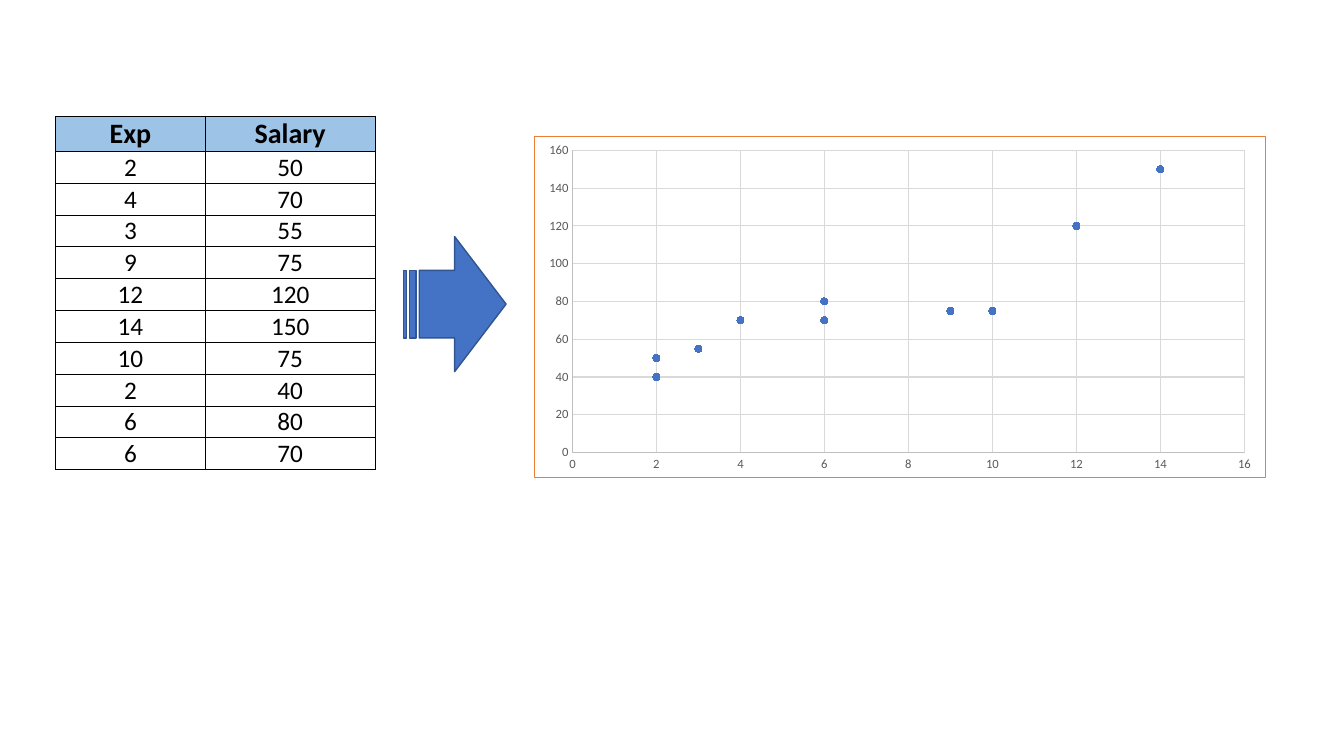
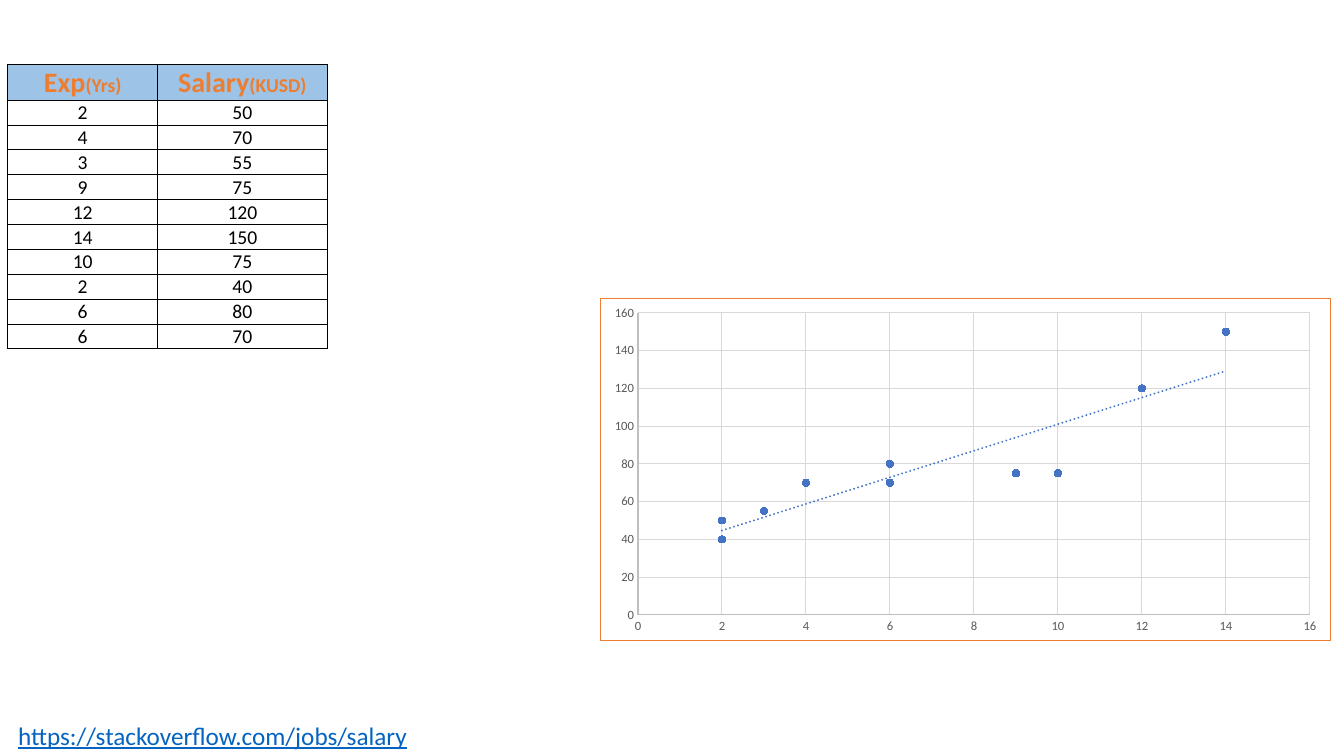
import pptx
import pptx.chart.data
import pptx.dml.color
import pptx.enum.chart
import pptx.enum.shapes
import pptx.enum.text
import pptx.oxml
import pptx.oxml.ns
import pptx.util

Pt = pptx.util.Pt
RGBColor = pptx.dml.color.RGBColor

BLACK = RGBColor(0x00, 0x00, 0x00)
ORANGE = RGBColor(0xED, 0x7D, 0x31)
BLUE = RGBColor(0x44, 0x72, 0xC4)
DARK_BLUE = RGBColor(0x32, 0x54, 0x91)
HEADER_BLUE = RGBColor(0x9D, 0xC3, 0xE6)
LINK_BLUE = RGBColor(0x05, 0x63, 0xC1)
AXIS_TEXT = RGBColor(0x59, 0x59, 0x59)
AXIS_LINE = RGBColor(0xBF, 0xBF, 0xBF)
GRID_LINE = RGBColor(0xD9, 0xD9, 0xD9)

FONT = "Calibri"
SALARIES = [(2, 50), (4, 70), (3, 55), (9, 75), (12, 120),
            (14, 150), (10, 75), (2, 40), (6, 80), (6, 70)]
COLUMN_WIDTHS = (107.2, 121)
HEADER_HEIGHT = 25
HEADER_SIZE = 20
CHART_SIZE = (522.7, 244.8)

CELL_FORMAT = {
    "margin_left": Pt(0.7),
    "margin_top": Pt(0.7),
    "margin_right": Pt(0.7),
    "margin_bottom": Pt(0),
    "vertical_anchor": pptx.enum.text.MSO_ANCHOR.BOTTOM,
}
AXIS_FORMAT = {
    "minimum_scale": 0,
    "has_major_gridlines": True,
    "has_minor_gridlines": False,
    "major_tick_mark": pptx.enum.chart.XL_TICK_MARK.NONE,
    "minor_tick_mark": pptx.enum.chart.XL_TICK_MARK.NONE,
}
DRAWING_NS = pptx.oxml.ns.nsdecls("a")
CHART_NS = pptx.oxml.ns.nsdecls("c", "a")


def apply_format(target, values):
    for attribute, value in values.items():
        setattr(target, attribute, value)


def style_font(font, size, color, **extra):
    apply_format(font, {"name": FONT, "size": Pt(size), **extra})
    font.color.rgb = color


def style_line(line, color, width):
    line.color.rgb = color
    line.width = Pt(width)


def add_cell_borders(cell):
    properties = cell._tc.get_or_add_tcPr()
    for side in ("lnL", "lnR", "lnT", "lnB"):
        properties.append(pptx.oxml.parse_xml(
            f'<a:{side} {DRAWING_NS} w="{Pt(0.5)}"><a:solidFill>'
            f'<a:srgbClr val="{BLACK}"/></a:solidFill></a:{side}>'))


def fill_cell(cell, runs, color, bold, background=None):
    """Write (text, size) runs into a bordered cell."""
    apply_format(cell, CELL_FORMAT)
    add_cell_borders(cell)
    if background is None:
        cell.fill.background()
    else:
        cell.fill.solid()
        cell.fill.fore_color.rgb = background
    paragraph = cell.text_frame.paragraphs[0]
    paragraph.alignment = pptx.enum.text.PP_ALIGN.CENTER
    for text, size in runs:
        run = paragraph.add_run()
        run.text = text
        style_font(run.font, size, color, bold=bold)


def add_salary_table(slide, left, top, headings, heading_color,
                     body_size, row_height):
    heights = [HEADER_HEIGHT] + [row_height] * len(SALARIES)
    table = slide.shapes.add_table(
        len(heights), len(COLUMN_WIDTHS), Pt(left), Pt(top),
        Pt(sum(COLUMN_WIDTHS)), Pt(sum(heights))).table
    table.horz_banding = False
    for column, width in zip(table.columns, COLUMN_WIDTHS):
        column.width = Pt(width)
    for row, height in zip(table.rows, heights):
        row.height = Pt(height)
    for column, runs in enumerate(headings):
        fill_cell(table.cell(0, column), runs, heading_color, True, HEADER_BLUE)
    for row, record in enumerate(SALARIES, start=1):
        for column, value in enumerate(record):
            fill_cell(table.cell(row, column), [(str(value), body_size)],
                      BLACK, False)


def style_axis(axis, maximum, step):
    apply_format(axis, {**AXIS_FORMAT, "maximum_scale": maximum, "major_unit": step})
    style_font(axis.tick_labels.font, 9, AXIS_TEXT)
    style_line(axis.format.line, AXIS_LINE, 0.75)
    style_line(axis.major_gridlines.format.line, GRID_LINE, 0.75)


def add_chart_border(chart):
    chart_space = chart._chartSpace
    chart_space.find(pptx.oxml.ns.qn("c:chart")).addnext(pptx.oxml.parse_xml(
        f'<c:spPr {CHART_NS}><a:noFill/><a:ln w="{Pt(0.75)}"><a:solidFill>'
        f'<a:srgbClr val="{ORANGE}"/></a:solidFill></a:ln></c:spPr>'))


def add_trend_line(series):
    series._element.find(pptx.oxml.ns.qn("c:xVal")).addprevious(pptx.oxml.parse_xml(
        f'<c:trendline {CHART_NS}><c:spPr><a:ln w="{Pt(1.5)}" cap="rnd">'
        f'<a:solidFill><a:srgbClr val="{BLUE}"/></a:solidFill>'
        '<a:prstDash val="sysDot"/></a:ln></c:spPr>'
        '<c:trendlineType val="linear"/><c:dispRSqr val="0"/>'
        '<c:dispEq val="0"/></c:trendline>'))


def add_salary_chart(slide, left, top, trend=False):
    data = pptx.chart.data.XyChartData()
    points = data.add_series("Series 1")
    for experience, salary in SALARIES:
        points.add_data_point(experience, salary)
    chart = slide.shapes.add_chart(
        pptx.enum.chart.XL_CHART_TYPE.XY_SCATTER, Pt(left), Pt(top),
        *map(Pt, CHART_SIZE), data).chart
    apply_format(chart, {"has_title": False, "has_legend": False})
    style_font(chart.font, 10, BLACK)
    add_chart_border(chart)
    style_axis(chart.category_axis, 16, 2)
    style_axis(chart.value_axis, 160, 20)

    plot = chart.plots[0]
    plot.vary_by_categories = False
    series = plot.series[0]
    series.format.line.fill.background()
    marker = series.marker
    apply_format(marker, {"style": pptx.enum.chart.XL_MARKER_STYLE.CIRCLE, "size": 5})
    marker.format.fill.solid()
    marker.format.fill.fore_color.rgb = BLUE
    style_line(marker.format.line, BLUE, 0.75)
    if trend:
        add_trend_line(series)


def add_striped_arrow(slide, left, top, width, height):
    arrow = slide.shapes.add_shape(
        pptx.enum.shapes.MSO_SHAPE.STRIPED_RIGHT_ARROW,
        Pt(left), Pt(top), Pt(width), Pt(height))
    arrow.shadow.inherit = False
    arrow.fill.solid()
    arrow.fill.fore_color.rgb = BLUE
    style_line(arrow.line, DARK_BLUE, 1)


def add_source_address(slide, address, left, top, width, height):
    frame = slide.shapes.add_textbox(
        Pt(left), Pt(top), Pt(width), Pt(height)).text_frame
    apply_format(frame, {
        "word_wrap": False,
        "auto_size": pptx.enum.text.MSO_AUTO_SIZE.SHAPE_TO_FIT_TEXT,
    })
    run = frame.paragraphs[0].add_run()
    run.text = address
    style_font(run.font, 18, LINK_BLUE, underline=True)


def main():
    presentation = pptx.Presentation()
    presentation.slide_width = Pt(960)
    presentation.slide_height = Pt(540)
    blank = presentation.slide_layouts[6]

    scatter = presentation.slides.add_slide(blank)
    add_salary_table(scatter, 39.6, 82.8,
                     [[("Exp", HEADER_SIZE)], [("Salary", HEADER_SIZE)]],
                     BLACK, 18, 22.75)
    add_salary_chart(scatter, 381.6, 97)
    add_striped_arrow(scatter, 288, 169, 73.5, 96.5)

    regression = presentation.slides.add_slide(blank)
    add_salary_table(regression, 5.5, 46.2,
                     [[("Exp", HEADER_SIZE), ("(Yrs)", 14)],
                      [("Salary", HEADER_SIZE), ("(KUSD)", 14)]],
                     ORANGE, 14, 17.8)
    add_salary_chart(regression, 428.4, 213, trend=True)
    add_source_address(regression, "https://stackoverflow.com/jobs/salary",
                       5.8, 511, 295, 29)

    presentation.save("out.pptx")


if __name__ == "__main__":
    main()
